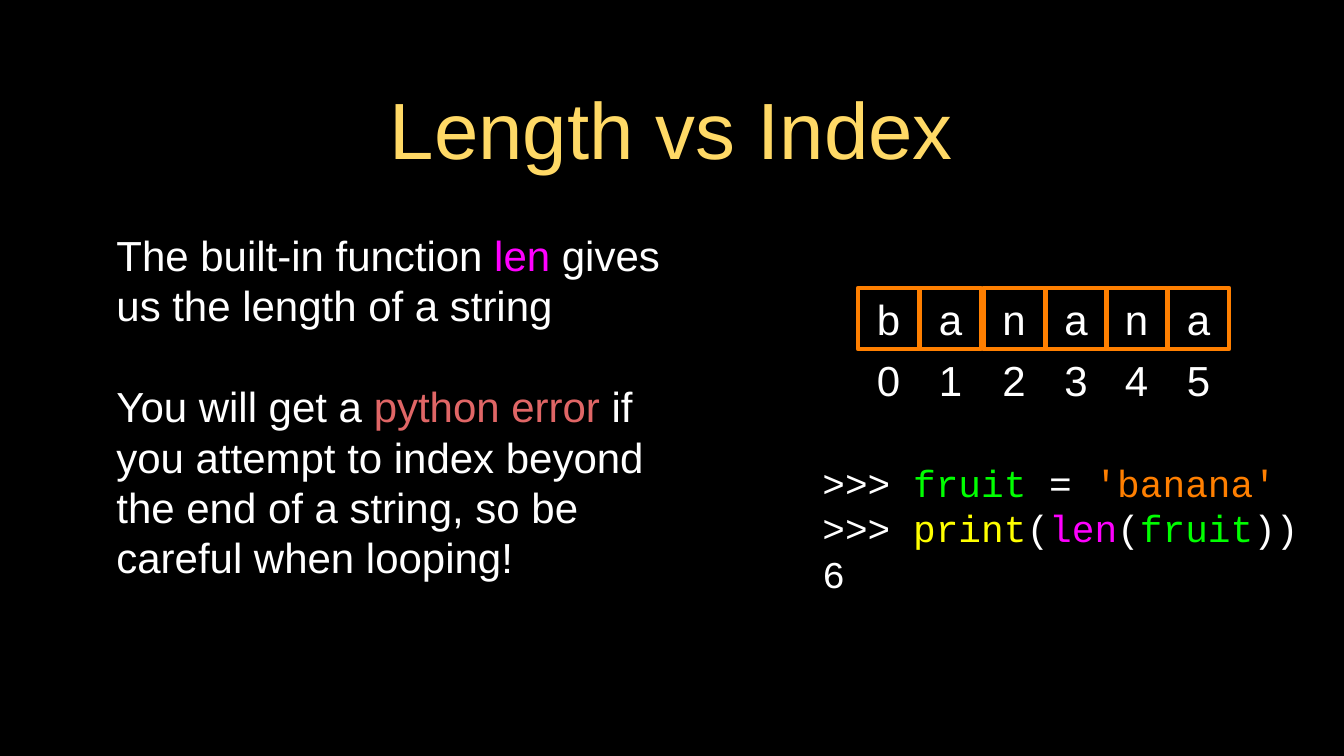
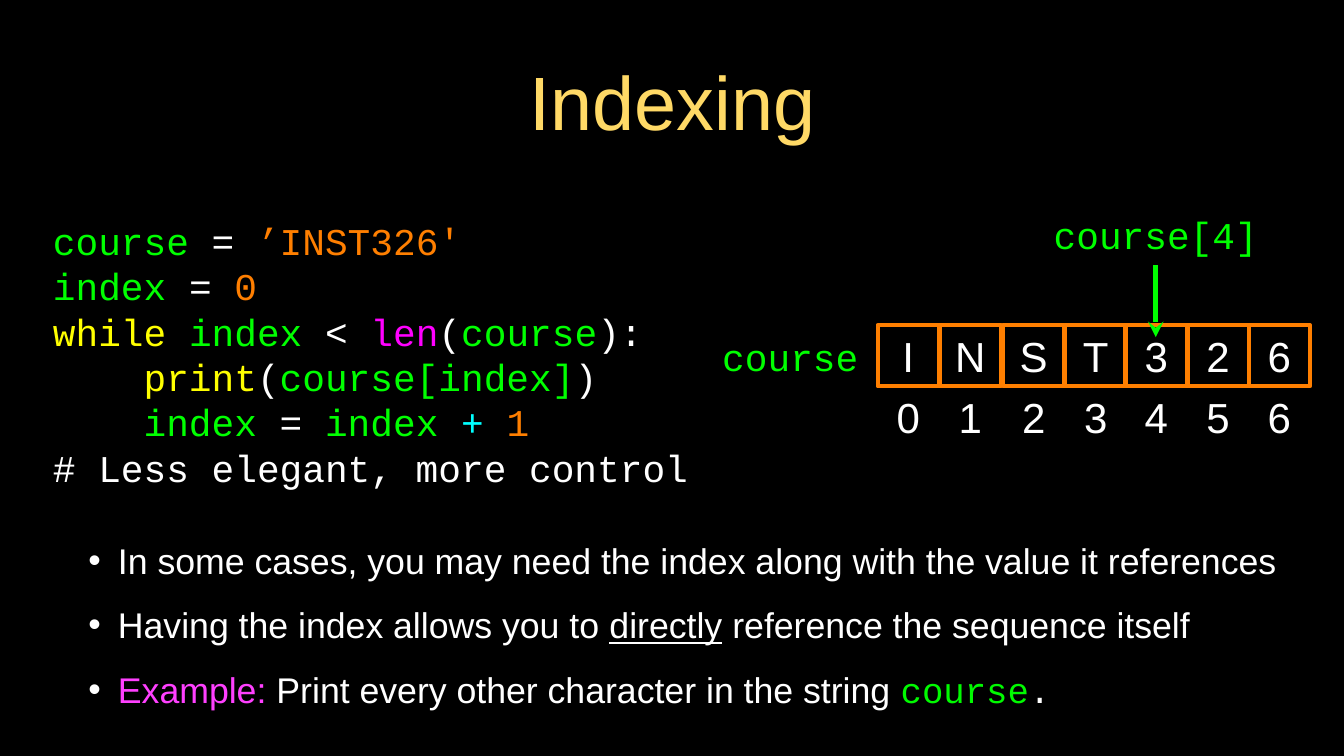
from dataclasses import dataclass
from typing import NamedTuple, Optional

from lxml.etree import SubElement
from pptx import Presentation
from pptx.dml.color import RGBColor
from pptx.enum.shapes import MSO_CONNECTOR, MSO_SHAPE
from pptx.enum.text import MSO_ANCHOR, MSO_AUTO_SIZE, PP_ALIGN
from pptx.oxml.ns import qn
from pptx.util import Pt

EMU_PER_PX = 9144
CELL_SIZE = 81
CELL_OFFSETS = (0, 82, 166, 248, 328, 410, 491)


@dataclass(frozen=True)
class Theme:
    background: str = "000000"
    text: str = "FFFFFF"
    title: str = "FFD966"
    variable: str = "00FF00"
    literal: str = "FF7F00"
    keyword: str = "FFFF00"
    builtin: str = "FF00FF"
    operator: str = "00FFFF"
    error: str = "E06666"
    example: str = "FF40FF"
    variable_in_list: str = "00FA00"
    sans: str = "Arial"
    mono: str = "Courier New"
    length_title_size: int = 76
    indexing_title_size: int = 72
    body_size: int = 40
    list_size: int = 34
    code_size: int = 36
    cell_line: int = 4
    arrow_line: int = 5


class Span(NamedTuple):
    text: str
    color: Optional[str] = None
    font: Optional[str] = None
    underline: Optional[bool] = None


def px(length):
    return length * EMU_PER_PX


def rgb(color):
    return RGBColor.from_string(color)


class Deck:
    def __init__(self, theme, width, height):
        self.theme = theme
        self.prs = Presentation()
        self.prs.slide_width, self.prs.slide_height = px(width), px(height)
        fill = self.prs.slide_master.background.fill
        fill.solid()
        fill.fore_color.rgb = rgb(theme.background)
        self.slide = None

    def new_slide(self):
        self.slide = self.prs.slides.add_slide(self.prs.slide_layouts[1])

    def place(self, shape, box):
        shape.left, shape.top, shape.width, shape.height = map(px, box)

    def frame(self, shape, inset, anchor):
        frame = shape.text_frame
        frame.word_wrap = True
        frame.auto_size = MSO_AUTO_SIZE.NONE
        frame.vertical_anchor = anchor
        frame.margin_left = frame.margin_right = px(inset)
        frame.margin_top = frame.margin_bottom = px(inset)
        return frame

    def fill_lines(self, frame, lines, size, font=None, color=None,
                   align=PP_ALIGN.LEFT, indent=None, bullet=None,
                   line_spacing=None, gap=0):
        """Fill the frame; each line is a list of spans, gap is points between lines."""
        for i, spans in enumerate(lines):
            paragraph = frame.add_paragraph() if i else frame.paragraphs[0]
            paragraph.alignment = align
            paragraph.space_before = Pt(gap if i else 0)
            if line_spacing:
                paragraph.line_spacing = line_spacing
            if indent:
                self.indent(paragraph, indent, bullet)
            paragraph.font.name = font or self.theme.sans
            paragraph.font.size = Pt(size)
            paragraph.font.color.rgb = rgb(color or self.theme.text)
            for span in spans:
                run = paragraph.add_run()
                run.text = span.text
                if span.color:
                    run.font.color.rgb = rgb(span.color)
                if span.font:
                    run.font.name = span.font
                if span.underline:
                    run.font.underline = True

    def indent(self, paragraph, indent, bullet):
        props = paragraph._p.get_or_add_pPr()
        margin, first_line = indent
        props.set("marL", str(px(margin)))
        props.set("indent", str(px(first_line)))
        if bullet:
            color = SubElement(props, qn("a:buClr"))
            SubElement(color, qn("a:srgbClr")).set("val", self.theme.text)
            SubElement(props, qn("a:buFont")).set("typeface", self.theme.sans)
            SubElement(props, qn("a:buChar")).set("char", bullet)
        else:
            SubElement(props, qn("a:buNone"))

    def title(self, text, box, size, inset):
        title = self.slide.shapes.title
        self.place(title, box)
        self.fill_lines(self.frame(title, inset, MSO_ANCHOR.MIDDLE), [[Span(text)]],
                        size, color=self.theme.title, align=PP_ALIGN.CENTER)

    def body(self, lines, box, size, **style):
        body = self.slide.placeholders[1]
        self.place(body, box)
        self.fill_lines(self.frame(body, 4, MSO_ANCHOR.MIDDLE), lines, size, **style)

    def text(self, lines, box, size, anchor=MSO_ANCHOR.TOP, **style):
        label = self.slide.shapes.add_textbox(*map(px, box))
        self.fill_lines(self.frame(label, 0, anchor), lines, size, **style)

    def code(self, lines, box, **style):
        self.text(lines, box, self.theme.code_size, font=self.theme.mono, **style)

    def cell(self, letter, box):
        cell = self.slide.shapes.add_shape(MSO_SHAPE.RECTANGLE, *map(px, box))
        cell.shadow.inherit = False
        cell.fill.background()
        cell.line.color.rgb = rgb(self.theme.literal)
        cell.line.width = Pt(self.theme.cell_line)
        self.fill_lines(self.frame(cell, 0, MSO_ANCHOR.MIDDLE), [[Span(letter)]],
                        self.theme.body_size, align=PP_ALIGN.CENTER)

    def indexed_string(self, string, left, top):
        """Draw one box per character, with its index below."""
        for index, (letter, offset) in enumerate(zip(string, CELL_OFFSETS)):
            x = left + offset
            self.text([[Span(str(index))]], (x, top + CELL_SIZE, CELL_SIZE, CELL_SIZE),
                      self.theme.body_size, anchor=MSO_ANCHOR.MIDDLE,
                      align=PP_ALIGN.CENTER)
            self.cell(letter, (x, top, CELL_SIZE, CELL_SIZE))

    def arrow(self, start, end):
        arrow = self.slide.shapes.add_connector(
            MSO_CONNECTOR.STRAIGHT, *map(px, start + end))
        arrow.line.color.rgb = rgb(self.theme.variable)
        arrow.line.width = Pt(self.theme.arrow_line)
        line = arrow._element.spPr.find(qn("a:ln"))
        SubElement(line, qn("a:tailEnd")).set("type", "stealth")
        SubElement(arrow._element.spPr, qn("a:effectLst"))


def length_slide(deck):
    theme = deck.theme
    deck.new_slide()
    deck.title("Length vs Index", (126, 0, 1524, 337), theme.length_title_size, inset=4)
    deck.body([
        [Span("The built-in function "), Span("len ", theme.builtin),
         Span("gives us the length of a string")],
        [Span("You will get a "), Span("python error", theme.error),
         Span(" if you attempt to index beyond the end of a string, "
              "so be careful when looping!")],
    ], (126, 285, 808, 504), theme.body_size, indent=(24, 0), gap=48)
    deck.code([
        [Span(">>> "), Span("fruit", theme.variable), Span(" = "),
         Span("'banana'", theme.literal)],
        [Span(">>> "), Span("print", theme.keyword), Span("("),
         Span("len", theme.builtin), Span("("), Span("fruit", theme.variable),
         Span("))")],
        [Span("6")],
    ], (1088, 607, 690, 182), anchor=MSO_ANCHOR.MIDDLE)
    deck.indexed_string("banana", 1135, 381)


def indexing_slide(deck):
    theme = deck.theme
    deck.new_slide()
    deck.title("Indexing", (128, 11, 1524, 244), theme.indexing_title_size, inset=10)
    deck.code([
        [Span("course ", theme.variable), Span("= "), Span("’INST326'", theme.literal)],
        [Span("index ", theme.variable), Span("= "), Span("0", theme.literal)],
        [Span("while ", theme.keyword), Span("index", theme.variable), Span(" < "),
         Span("len", theme.builtin), Span("("), Span("course", theme.variable),
         Span("):")],
        [Span("    "), Span("print", theme.keyword), Span("("),
         Span("course[index]", theme.variable), Span(")")],
        [Span("    "), Span("index", theme.variable), Span(" = "),
         Span("index ", theme.variable), Span("+ ", theme.operator),
         Span("1", theme.literal)],
        [Span("# Less elegant, more control")],
    ], (70, 288, 861, 364))
    deck.indexed_string("INST326", 1161, 430)
    for label, box in (("course", (952, 442, 187, 57)),
                       ("course[4]", (1386, 280, 286, 57))):
        deck.code([[Span(label)]], box, color=theme.variable, align=PP_ALIGN.CENTER)
    deck.arrow((1529, 351), (1529, 446))
    deck.body([
        [Span("In some cases, you may need the index along with the value it references")],
        [Span("Having the index allows you to "), Span("directly", underline=True),
         Span(" reference the sequence itself")],
        [Span("Example: ", theme.example),
         Span("Print every other character in the string "),
         Span("course", theme.variable_in_list, theme.mono),
         Span(".", font=theme.mono)],
    ], (70, 731, 1647, 162), theme.list_size, indent=(82, -39), bullet="•",
        line_spacing=1.5)


def main():
    deck = Deck(Theme(), 1778, 1000)
    length_slide(deck)
    indexing_slide(deck)
    deck.prs.save("out.pptx")


if __name__ == "__main__":
    main()
